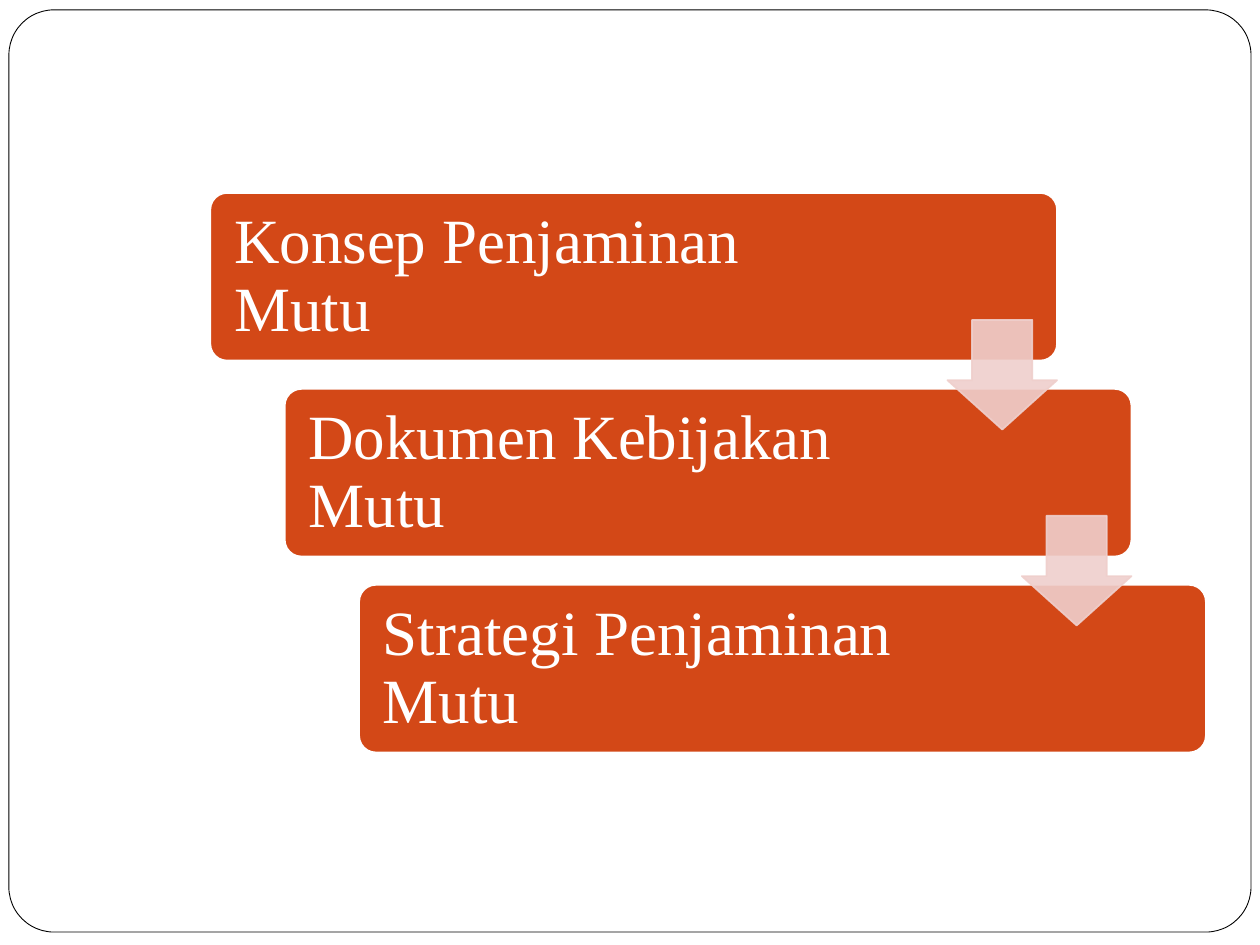
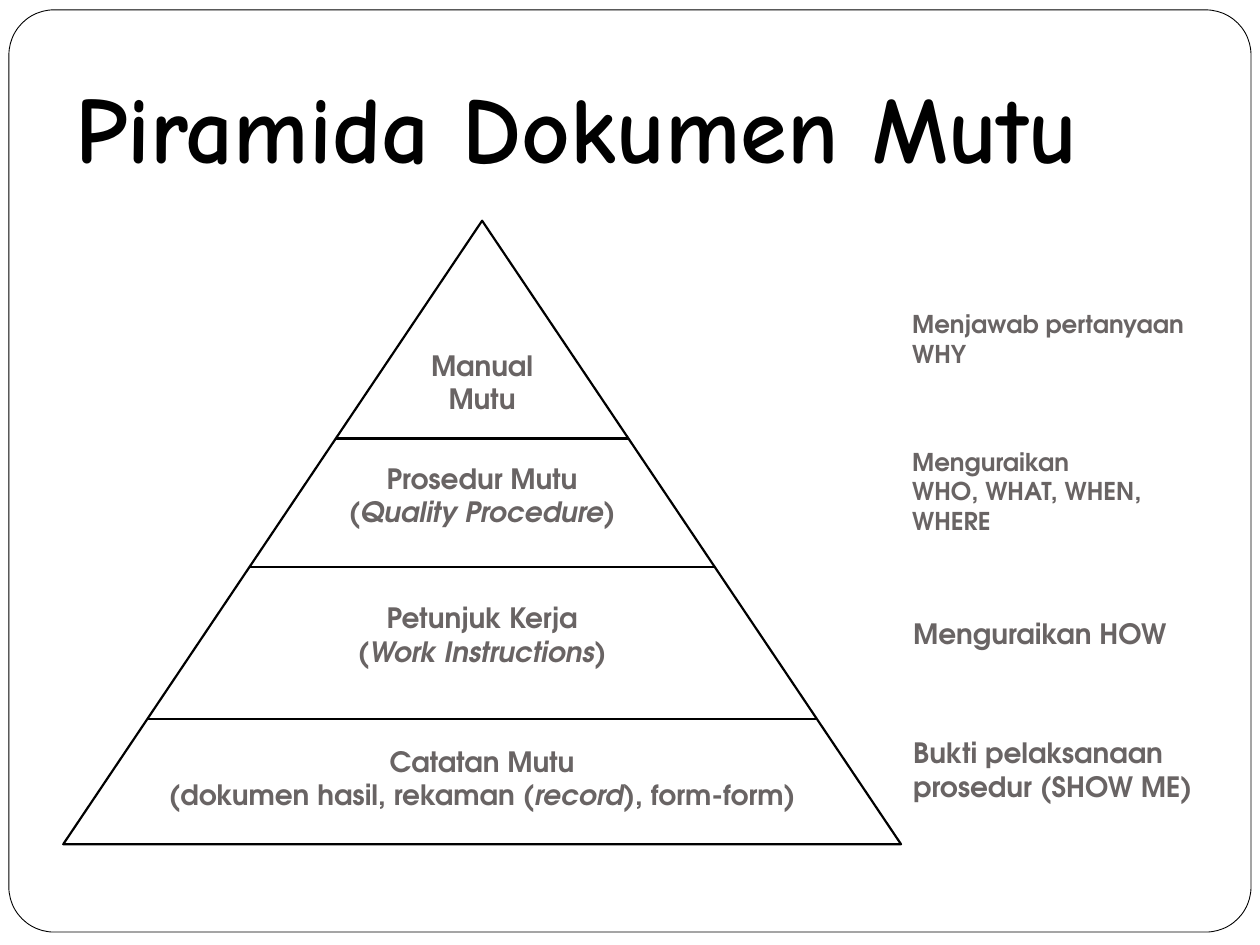
"""Build two slides on quality assurance: a step cascade and a document pyramid."""
from lxml.etree import SubElement
from pptx import Presentation
from pptx.dml.color import RGBColor
from pptx.enum.shapes import MSO_CONNECTOR, MSO_SHAPE
from pptx.enum.text import MSO_ANCHOR, PP_ALIGN
from pptx.oxml.ns import qn
from pptx.util import Cm, Pt

WHITE = RGBColor(0xFF, 0xFF, 0xFF)
BLACK = RGBColor(0x00, 0x00, 0x00)
ORANGE = RGBColor(0xD3, 0x48, 0x17)
PINK = RGBColor(0xEF, 0xCF, 0xCC)
GREY = RGBColor(0x69, 0x64, 0x64)
STEP_FONT = "Times New Roman"
TITLE_FONT = "Comic Neue"
LABEL_FONT = "TeX Gyre Adventor"

STEPS = ["Konsep Penjaminan Mutu", "Dokumen Kebijakan Mutu", "Strategi Penjaminan Mutu"]
STEP_LEFT, STEP_TOP, STEP_DX, STEP_DY = 4.24, 3.89, 1.5, 3.95

APEX_X, APEX_Y, PYRAMID_W, PYRAMID_H = 9.72, 4.45, 16.89, 12.57
DIVIDERS = [8.84, 11.43, 14.5]
LEVELS = [
    (["Manual Mutu"], 6.86, 2.92, 1.68, MSO_ANCHOR.MIDDLE),
    (["Prosedur Mutu", "(*Quality Procedure)*"], 9.17, 5.97, 1.88, MSO_ANCHOR.TOP),
    (["Petunjuk Kerja", "(*Work Instructions*)"], 11.99, 5.97, 1.88, MSO_ANCHOR.TOP),
    (["Catatan Mutu", "(dokumen hasil, rekaman (*record*), form-form)"],
     14.88, 13.41, 1.73, MSO_ANCHOR.TOP),
]
ANSWERS = [
    (["Menjawab pertanyaan WHY"], 18.14, 5.82, 14),
    (["Menguraikan", "WHO, WHAT, WHEN, WHERE"], 18.14, 8.89, 14),
    (["Menguraikan HOW"], 18.16, 11.76, 16),
    (["Bukti pelaksanaan prosedur (SHOW ME)"], 18.16, 14.5, 16),
]


def add_box(s, kind, left, top, width, height, fill, line, line_pt, adjust=()):
    """Add a preset shape with solid fill and outline, and return it."""
    sp = s.shapes.add_shape(kind, Cm(left), Cm(top), Cm(width), Cm(height))
    sp.shadow.inherit = False
    for i, value in enumerate(adjust):
        sp.adjustments[i] = value
    sp.fill.solid()
    sp.fill.fore_color.rgb = fill
    sp.line.color.rgb = line
    sp.line.width = Pt(line_pt)
    return sp


def write(sp, lines, font, size, color, bold=False, align=PP_ALIGN.LEFT,
          anchor=MSO_ANCHOR.MIDDLE, spacing=None):
    """Fill a shape with paragraphs; text between asterisks is italic."""
    tf = sp.text_frame
    tf.word_wrap = True
    tf.vertical_anchor = anchor
    for i, line in enumerate(lines):
        p = tf.add_paragraph() if i else tf.paragraphs[0]
        p.alignment = align
        p.line_spacing = spacing
        p.font.name, p.font.size, p.font.bold = font, Pt(size), bold
        p.font.color.rgb = color
        for j, part in enumerate(line.split("*")):
            if part:
                r = p.add_run()
                r.text = part
                if j % 2:
                    r.font.italic = True


def add_text(s, left, top, width, height, insets):
    """Add an empty text box with the given left, top, right, bottom insets."""
    sp = s.shapes.add_textbox(Cm(left), Cm(top), Cm(width), Cm(height))
    tf = sp.text_frame
    tf.margin_left, tf.margin_top, tf.margin_right, tf.margin_bottom = map(Cm, insets)
    return sp


def add_framed_slide(prs):
    """Add a blank slide with the rounded frame."""
    s = prs.slides.add_slide(prs.slide_layouts[6])
    add_box(s, MSO_SHAPE.ROUNDED_RECTANGLE, 0.18, 0.2, 25.04, 18.59,
            WHITE, BLACK, 0.5, [0.049])
    return s


def add_step(s, index, text):
    """Add one card of the cascade with its text."""
    left, top = STEP_LEFT + index * STEP_DX, STEP_TOP + index * STEP_DY
    add_box(s, MSO_SHAPE.ROUNDED_RECTANGLE, left, top, 17.07, 3.38,
            ORANGE, WHITE, 1, [0.1])
    sp = add_text(s, left + 0.1, top + 0.1, 13.2, 3.2, [0.38] * 4)
    write(sp, [text], STEP_FONT, 36, WHITE, spacing=0.9)


def add_step_arrow(s, index):
    """Add the translucent arrow from one card to the next."""
    left, top = STEP_LEFT + index * STEP_DX, STEP_TOP + index * STEP_DY
    sp = add_box(s, MSO_SHAPE.DOWN_ARROW, left + 14.86, top + 2.56, 2.21, 2.21,
                 PINK, PINK, 1, [0.55, 0.45])
    for color in sp._element.spPr.iter(qn("a:srgbClr")):
        SubElement(color, qn("a:alpha"), val="90000")


def add_divider(s, y):
    """Add a horizontal line from edge to edge of the pyramid."""
    half = PYRAMID_W / 2 * (y - APEX_Y) / PYRAMID_H
    line = s.shapes.add_connector(MSO_CONNECTOR.STRAIGHT, Cm(APEX_X - half), Cm(y),
                                  Cm(APEX_X + half), Cm(y))
    line.line.color.rgb = BLACK
    line.line.width = Pt(1.25)
    SubElement(line._element.spPr, qn("a:effectLst"))


def add_label(s, lines, left, top, width, height, size=16, **style):
    """Add a white box with bold grey text."""
    sp = add_box(s, MSO_SHAPE.RECTANGLE, left, top, width, height, WHITE, WHITE, 1.25)
    write(sp, lines, LABEL_FONT, size, GREY, bold=True, **style)


def build_cascade(prs):
    """Build the slide with the three steps."""
    s = add_framed_slide(prs)
    for i, text in enumerate(STEPS):
        add_step(s, i, text)
    for i in range(len(STEPS) - 1):
        add_step_arrow(s, i)


def build_pyramid(prs):
    """Build the slide with the document pyramid and its questions."""
    s = add_framed_slide(prs)
    title = add_text(s, 1.27, 1.19, 22.86, 2.74, [0.25, 0.13, 0.25, 0.25])
    write(title, ["Piramida Dokumen Mutu"], TITLE_FONT, 54, BLACK, bold=True,
          anchor=MSO_ANCHOR.BOTTOM)
    add_box(s, MSO_SHAPE.ISOSCELES_TRIANGLE, APEX_X - PYRAMID_W / 2, APEX_Y,
            PYRAMID_W, PYRAMID_H, WHITE, BLACK, 1.25)
    for y in DIVIDERS:
        add_divider(s, y)
    for lines, top, width, height, anchor in LEVELS:
        add_label(s, lines, APEX_X - width / 2, top, width, height,
                  align=PP_ALIGN.CENTER, anchor=anchor)
    for lines, left, top, size in ANSWERS:
        add_label(s, lines, left, top, 6.46, 2.01, size)


def main():
    """Build and save the presentation."""
    prs = Presentation()
    prs.slide_width, prs.slide_height = Cm(25.4), Cm(19.05)
    build_cascade(prs)
    build_pyramid(prs)
    prs.save("out.pptx")


if __name__ == "__main__":
    main()
